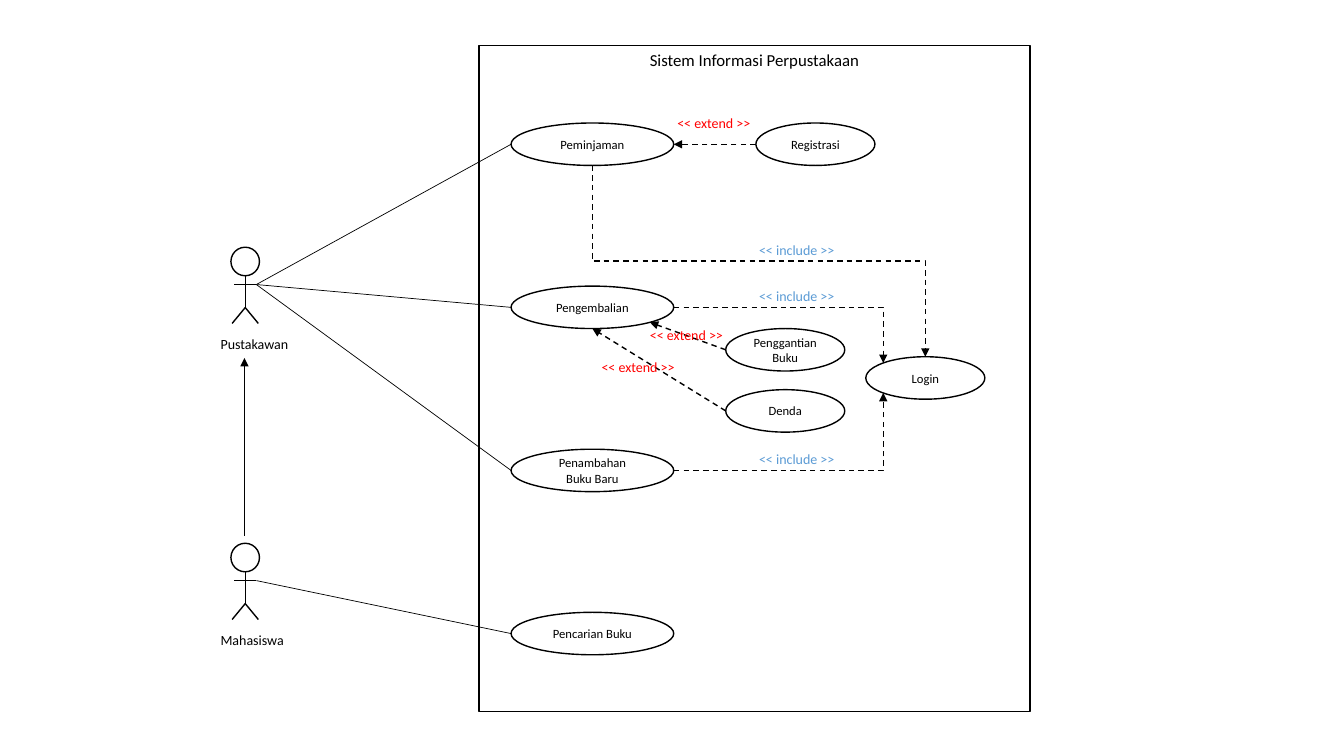
from math import sqrt

from lxml.etree import SubElement
from pptx import Presentation
from pptx.dml.color import RGBColor
from pptx.enum.dml import MSO_LINE
from pptx.enum.shapes import MSO_CONNECTOR as Link, MSO_SHAPE as Form
from pptx.enum.text import MSO_ANCHOR as Anchor, MSO_AUTO_SIZE as Fit, PP_ALIGN as Align
from pptx.oxml.ns import qn
from pptx.util import Cm, Pt

HUES = {"ink": "000000", "paper": "FFFFFF", "extend": "FF0000", "include": "5B9BD5"}
DIAG = sqrt(0.5)
LEFT, RIGHT, TOP, BASE = (-1, 0), (1, 0), (0, -1), (0, 1)


def hue(name):
    """Return a named colour."""
    return RGBColor.from_string(HUES[name])


def write(frame, text, size, color="ink", align=Align.CENTER):
    """Put one styled paragraph in a frame."""
    frame.text = text
    para = frame.paragraphs[0]
    para.alignment = align
    font = para.runs[0].font
    font.name, font.size = "Calibri", Pt(size)
    font.color.rgb = hue(color)


def outline(slide, form, x, y, wide, high, fill="paper"):
    """Draw a black outlined shape, filled unless fill is None."""
    shape = slide.shapes.add_shape(form, Cm(x), Cm(y), Cm(wide), Cm(high))
    shape.shadow.inherit = False
    if fill:
        shape.fill.solid()
        shape.fill.fore_color.rgb = hue(fill)
    else:
        shape.fill.background()
    shape.line.color.rgb = hue("ink")
    shape.line.width = Pt(1)
    return shape


def system(slide, title):
    """Draw the system boundary with its title."""
    box = outline(slide, Form.RECTANGLE, 12.07, 1.14, 13.89, 16.79)
    box.text_frame.vertical_anchor = Anchor.TOP
    write(box.text_frame, title, 12)


def case(slide, text, x, y, wide=3):
    """Draw a use case ellipse."""
    oval = outline(slide, Form.OVAL, x, y, wide, 1.07)
    oval.text_frame.vertical_anchor = Anchor.MIDDLE
    oval.text_frame.word_wrap = True
    write(oval.text_frame, text, 9)
    return oval


def label(slide, text, x, y, wide, color="ink"):
    """Add a small unwrapped label."""
    box = slide.shapes.add_textbox(Cm(x), Cm(y), Cm(wide), Cm(0.68))
    box.text_frame.word_wrap = False
    box.text_frame.auto_size = Fit.SHAPE_TO_FIT_TEXT
    write(box.text_frame, text, 10, color, Align.LEFT)


def spot(oval, side):
    """Return the point of an ellipse that lies in a unit direction."""
    dx, dy = side
    return (int(oval.left + oval.width * (1 + dx) / 2),
            int(oval.top + oval.height * (1 + dy) / 2))


def line(slide, start, end, width=1, kind=Link.STRAIGHT, dash=False, arrow=False):
    """Draw a connector between two points."""
    link = slide.shapes.add_connector(kind, *start, *end)
    link.line.color.rgb = hue("ink")
    link.line.width = Pt(width)
    if dash:
        link.line.dash_style = MSO_LINE.DASH
    if arrow:
        SubElement(link.line._get_or_add_ln(), qn("a:tailEnd"), type="triangle")
    SubElement(link._element.spPr, qn("a:effectLst"))
    return link


def depend(slide, start, end, kind=Link.STRAIGHT):
    """Draw a dashed arrow."""
    return line(slide, start, end, kind=kind, dash=True, arrow=True)


def corner(slide, start, end):
    """Draw a dashed arrow that runs across and then turns once."""
    link = depend(slide, start, end, Link.ELBOW)
    link._element.spPr.find(qn("a:prstGeom")).set("prst", "bentConnector2")


def step(slide, start, end):
    """Draw a dashed arrow that runs down, across and down."""
    (x1, y1), (x2, y2) = start, end
    mid_x, mid_y = (x1 + x2) // 2, (y1 + y2) // 2
    half_x, half_y = (y2 - y1) // 2, (x2 - x1) // 2
    link = depend(slide, (mid_x + half_x, mid_y - half_y),
                  (mid_x - half_x, mid_y + half_y), Link.ELBOW)
    link._element.spPr.find(qn("a:xfrm")).set("rot", "16200000")


def actor(slide, name, y, wide):
    """Draw a stick figure and return the point of its right hand."""
    mid = 6.18
    outline(slide, Form.OVAL, mid - 0.36, y, 0.72, 0.72, None)
    limbs = [(0, 0.72, 0, 1.52), (0, 1.52, 0.33, 1.92),
             (0, 1.52, -0.33, 1.92), (-0.28, 0.94, 0.28, 0.94)]
    for x1, y1, x2, y2 in limbs:
        line(slide, (Cm(mid + x1), Cm(y + y1)), (Cm(mid + x2), Cm(y + y2)))
    label(slide, name, 5.31, y + 2.1, wide)
    return Cm(mid + 0.28), Cm(y + 0.94)


def main():
    """Build the use case diagram."""
    deck = Presentation()
    deck.slide_width, deck.slide_height = Cm(33.87), Cm(19.05)
    slide = deck.slides.add_slide(deck.slide_layouts[6])

    system(slide, "Sistem Informasi Perpustakaan")
    names = ["Peminjaman", "Pengembalian", "Penambahan Buku Baru", "Pencarian Buku"]
    lend, back, stock, find = [case(slide, name, 12.88, 3.1 + 4.11 * row, 4.1)
                               for row, name in enumerate(names)]
    login = case(slide, "Login", 21.82, 8.99)
    enrol = case(slide, "Registrasi", 19.05, 3.1)
    swap = case(slide, "Penggantian Buku", 18.29, 8.28)
    fine = case(slide, "Denda", 18.29, 9.82)

    step(slide, spot(lend, BASE), spot(login, TOP))
    corner(slide, spot(stock, RIGHT), spot(login, (-DIAG, DIAG)))
    corner(slide, spot(back, RIGHT), spot(login, (-DIAG, -DIAG)))
    depend(slide, spot(swap, LEFT), spot(back, (DIAG, DIAG)))
    depend(slide, spot(fine, LEFT), spot(back, BASE))
    depend(slide, spot(enrol, LEFT), spot(lend, RIGHT))

    staff = actor(slide, "Pustakawan", 6.23, 2.26)
    pupil = actor(slide, "Mahasiswa", 13.69, 2.11)
    line(slide, (Cm(6.16), Cm(13.5)), (Cm(6.16), Cm(9.02)), 0.5, arrow=True)
    for hand, oval in [(staff, back), (staff, stock), (staff, lend), (pupil, find)]:
        line(slide, spot(oval, LEFT), hand, 0.5)

    for x, y in [(14.91, 8.92), (16.13, 8.1), (16.82, 2.77)]:
        label(slide, "<< extend >>", x, y, 2.36, "extend")
    for y in (5.97, 11.24, 7.12):
        label(slide, "<< include >>", 18.88, y, 2.41, "include")

    deck.save("out.pptx")


if __name__ == "__main__":
    main()
